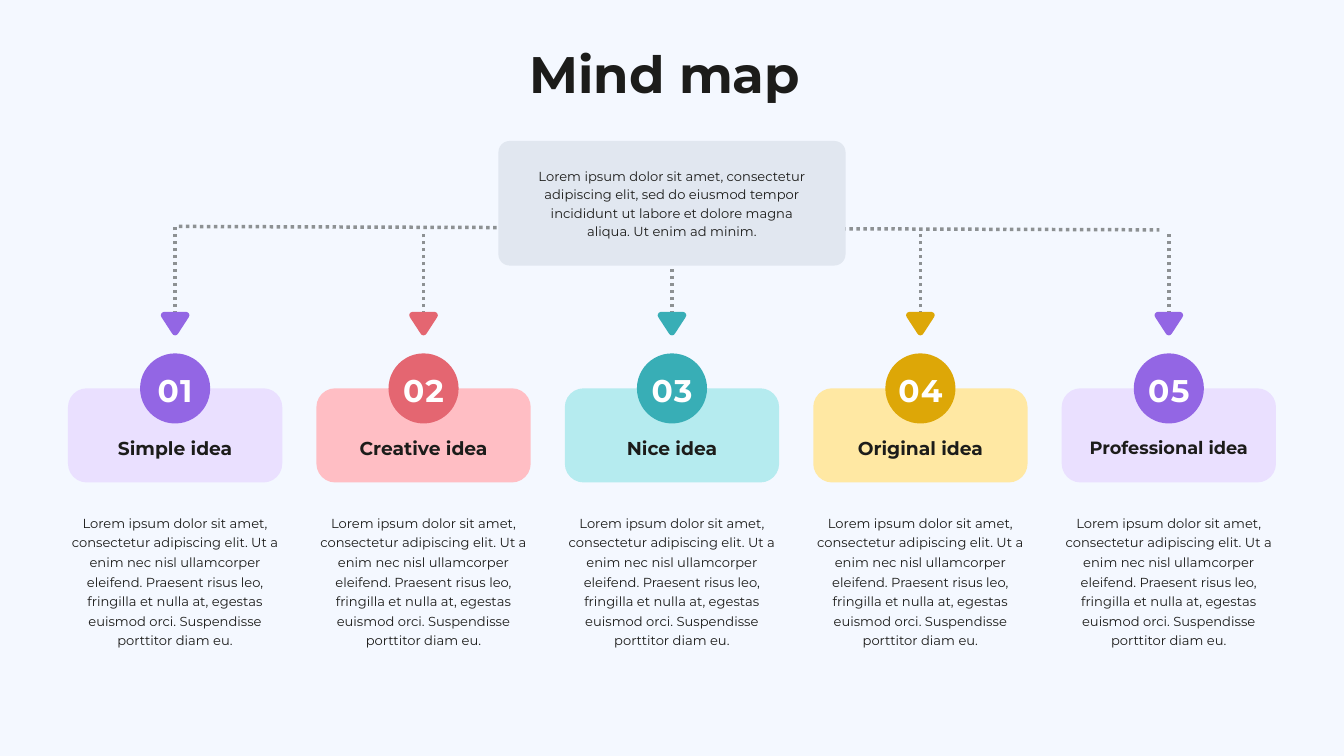
from lxml import etree
from pptx import Presentation
from pptx.dml.color import RGBColor
from pptx.enum.dml import MSO_LINE
from pptx.enum.shapes import MSO_CONNECTOR, MSO_SHAPE as SHAPE
from pptx.enum.text import PP_ALIGN
from pptx.oxml.ns import qn
from pptx.util import Cm, Pt

INK, GREY = "1C1C1A", "8D9193"
rgb = RGBColor.from_string

deck = Presentation()
deck.slide_width, deck.slide_height = Cm(50.8), Cm(28.58)
page = deck.slides.add_slide(deck.slide_layouts[6])
page.background.fill.solid()
page.background.fill.fore_color.rgb = rgb("F4F8FF")
shapes = page.shapes


def add_text(text, center, top, width, height, size, leading, color=INK, bold=False):
    """Add a centred text box without insets and return its only run."""
    box = shapes.add_textbox(Cm(center - width / 2), Cm(top), Cm(width), Cm(height))
    frame = box.text_frame
    frame.word_wrap = True
    frame.margin_left = frame.margin_right = frame.margin_top = frame.margin_bottom = 0
    frame.text = text
    para = frame.paragraphs[0]
    para.alignment = PP_ALIGN.CENTER
    para.line_spacing = Pt(leading)
    span = para.runs[0]
    span.font.name, span.font.size, span.font.bold = "Montserrat", Pt(size), bold
    span.font.color.rgb = rgb(color)
    return span


def paint(shape, color):
    """Give a shape a flat fill without outline or shadow."""
    shape.shadow.inherit = False
    shape.fill.solid()
    shape.fill.fore_color.rgb = rgb(color)
    shape.line.fill.background()


# Column data: title, title size, strong colour, pale colour, top of the branch
middle, pitch = 25.4, 9.39
columns = [
    ("Simple idea", 20, "9366E4", "EAE0FF", 8.56),
    ("Creative idea", 20, "E46671", "FFBEC4", 8.74),
    ("Nice idea", 20, "38AEB6", "B5EBEF", 10.03),
    ("Original idea", 20, "DDA707", "FFE8A3", 8.74),
    ("Professional idea", 19, "9366E4", "EAE0FF", 8.74),
]
centers = [middle + (index - 2) * pitch for index in range(len(columns))]

# Dotted trunk and branches
lines = [(6.76, 8.56, 43.82, 8.69)]
lines += [(center, 12.14, center, column[4]) for center, column in zip(centers, columns)]
for ends in lines:
    line = shapes.add_connector(MSO_CONNECTOR.STRAIGHT, *[Cm(value) for value in ends])
    line.line.color.rgb = rgb(GREY)
    line.line.width = Pt(3.75)
    line.line.dash_style = MSO_LINE.ROUND_DOT
    etree.SubElement(line._element.spPr, qn("a:effectLst"))

# Central box
hub = shapes.add_shape(SHAPE.ROUNDED_RECTANGLE, Cm(18.84), Cm(5.33), Cm(13.12), Cm(4.71))
hub.adjustments[0] = 0.09
paint(hub, "E1E7F0")
add_text("Lorem ipsum dolor sit amet, consectetur adipiscing elit, sed do eiusmod tempor "
         "incididunt ut labore et dolore magna aliqua. Ut enim ad minim.",
         middle, 6.27, 10.85, 2.74, 14, 19.6)

# Right half of the rounded arrowhead, from the top edge down to the tip
half = [(0.42, 0), (0.49, 0.03), (0.53, 0.08), (0.54, 0.14), (0.51, 0.21),
        (0.12, 0.81), (0.07, 0.87), (0, 0.89)]
outline = half + [(-x, y) for x, y in reversed(half[:-1])]

# Idea columns
for number, (center, column) in enumerate(zip(centers, columns), 1):
    title, title_size, strong, pale, _ = column

    points = [(Cm(center + x), Cm(11.79 + y)) for x, y in outline]
    builder = shapes.build_freeform(*points[0])
    builder.add_line_segments(points[1:], close=True)
    paint(builder.convert_to_shape(), strong)

    card = shapes.add_shape(SHAPE.ROUNDED_RECTANGLE, Cm(center - 4.05), Cm(14.68), Cm(8.1), Cm(3.56))
    card.adjustments[0] = 0.2
    paint(card, pale)

    badge = shapes.add_shape(SHAPE.OVAL, Cm(center - 1.325), Cm(13.36), Cm(2.65), Cm(2.65))
    paint(badge, strong)
    span = add_text(f"{number:02}", center, 13.79, 2.65, 1.6, 33.6, 47, "FFFFFF", True)
    span.font._element.set("spc", "140")

    add_text(title, center, 16.39, 6.5, 0.91, title_size, title_size * 1.4, bold=True)
    add_text("Lorem ipsum dolor sit amet, consectetur adipiscing elit. Ut a enim nec nisl "
             "ullamcorper eleifend. Praesent risus leo, fringilla et nulla at, egestas "
             "euismod orci. Suspendisse porttitor diam eu.",
             center, 19.33, 7.92, 5.18, 14, 21)

# Slide title
add_text("Mind map", 25.12, 1.88, 19.58, 2.13, 55, 58.3, bold=True)

deck.save("out.pptx")
